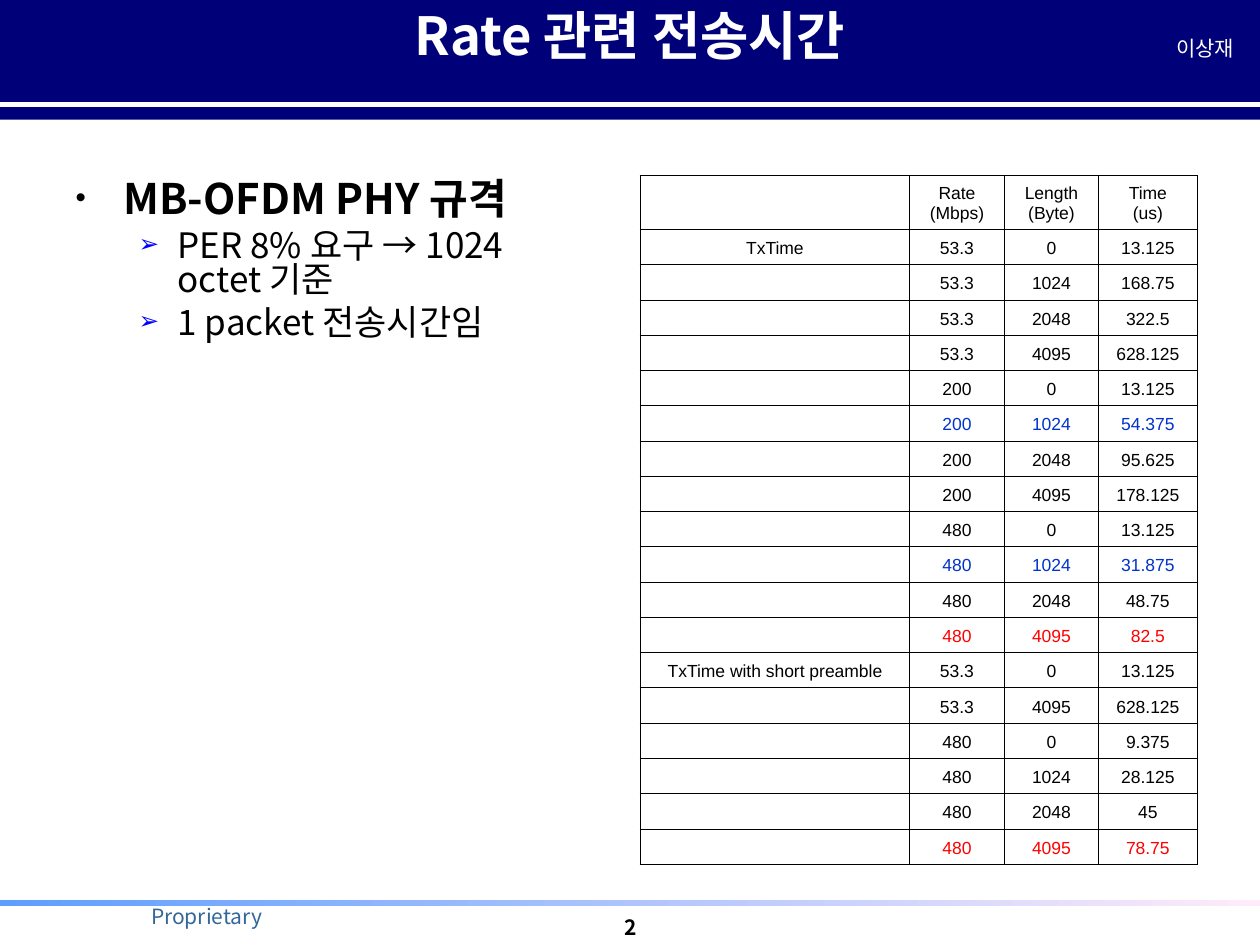
import pptx
import pptx.util
import pptx.dml.color
import pptx.enum.shapes
import pptx.enum.text
import pptx.oxml.ns
from lxml import etree

Inches, Pt = pptx.util.Inches, pptx.util.Pt
RGBColor = pptx.dml.color.RGBColor
PP_ALIGN = pptx.enum.text.PP_ALIGN
MSO_ANCHOR = pptx.enum.text.MSO_ANCHOR
qn = pptx.oxml.ns.qn

NAVY = RGBColor(0x00, 0x00, 0x78)
WHITE = RGBColor(0xFF, 0xFF, 0xFF)
BLACK = RGBColor(0x00, 0x00, 0x00)
SKY = RGBColor(0x5E, 0x9E, 0xFF)
PINK = RGBColor(0xFF, 0xEB, 0xFA)
STEEL = RGBColor(0x33, 0x66, 0x99)
BULLET_BLUE = RGBColor(0x00, 0x00, 0xFF)
BLUE = RGBColor(0x00, 0x33, 0xCC)
RED = RGBColor(0xFF, 0x00, 0x00)
KOREAN_FONT = "Noto Sans CJK KR"
TABLE_FONT = "Arial"
LINE_SPACING = 0.81


def add_xml(parent, tag, **attributes):
    return etree.SubElement(parent, qn(tag), attributes)


def format_runs(paragraph, size, color, bold=False, font=KOREAN_FONT):
    """Format every run, for Latin and East Asian letters alike."""
    for run in paragraph.runs:
        run.font.size = Pt(size)
        run.font.bold = bold
        run.font.color.rgb = color
        run.font.name = font
        add_xml(run.font._element, "a:ea", typeface=font)


prs = pptx.Presentation()
prs.slide_width, prs.slide_height = Inches(10), Inches(7.5)
slide = prs.slides.add_slide(prs.slide_layouts[1])
shapes = slide.shapes

# Header band and footer rule
header = shapes.add_shape(pptx.enum.shapes.MSO_SHAPE.RECTANGLE,
                          0, 0, Inches(10), Inches(0.95))
header.fill.solid()
header.fill.fore_color.rgb = NAVY
footer_rule = shapes.add_shape(pptx.enum.shapes.MSO_SHAPE.RECTANGLE,
                               0, Inches(7.14), Inches(10), Inches(0.05))
footer_rule.fill.gradient()
footer_rule.fill.gradient_angle = 0
for stop, color in zip(footer_rule.fill.gradient_stops, (SKY, PINK)):
    stop.color.rgb = color
for band in (header, footer_rule):
    band.line.fill.background()
    band.shadow.inherit = False

header_line = shapes.add_connector(pptx.enum.shapes.MSO_CONNECTOR.STRAIGHT,
                                   0, Inches(0.83), Inches(10), Inches(0.83))
header_line.line.color.rgb = WHITE
header_line.line.width = Pt(3)
add_xml(header_line.element.spPr, "a:effectLst")

# Page number, footer and author
for text, left, top, width, height, color, bold, wrap, side, anchor in (
    ("2", 4.67, 7.25, 0.67, 0.25, BLACK, True, False, 0.1, MSO_ANCHOR.MIDDLE),
    ("Proprietary", 1.08, 7.16, 1.12, 0.3, STEEL, False, False, 0.1, MSO_ANCHOR.TOP),
    ("이상재", 9.13, 0.27, 0.87, 0.3, WHITE, False, True, 0, MSO_ANCHOR.TOP),
):
    label = shapes.add_textbox(Inches(left), Inches(top), Inches(width), Inches(height))
    frame = label.text_frame
    frame.word_wrap = wrap
    frame.vertical_anchor = anchor
    frame.margin_left = frame.margin_right = Inches(side)
    frame.text = text
    frame.paragraphs[0].alignment = PP_ALIGN.CENTER
    frame.paragraphs[0].line_spacing = LINE_SPACING
    format_runs(frame.paragraphs[0], 12, color, bold)

# Title and list, brought in front of the header band
title, body = shapes.title, slide.placeholders[1]
title.left, title.top, title.width, title.height = 0, Inches(0.07), Inches(10), Inches(0.6)
body.left, body.top, body.width, body.height = (
    Inches(0.5), Inches(1.39), Inches(4.42), Inches(5.31))
for placeholder in (title, body):
    placeholder.element.getparent().append(placeholder.element)
    placeholder.text_frame.auto_size = pptx.enum.text.MSO_AUTO_SIZE.NONE
    placeholder.text_frame.vertical_anchor = MSO_ANCHOR.TOP

title.text_frame.text = "Rate 관련 전송시간"
title_line = title.text_frame.paragraphs[0]
title_line.alignment = PP_ALIGN.CENTER
title_line.line_spacing = LINE_SPACING
format_runs(title_line, 30, WHITE, True)

body.text_frame.margin_right = Inches(0.2)
body.text_frame.text = "\n".join((
    "MB-OFDM PHY 규격",
    "PER 8% 요구 → 1024 octet 기준",
    "1 packet 전송시간임",
))
for index, item in enumerate(body.text_frame.paragraphs):
    heading = index == 0
    item.level = 0 if heading else 1
    item.line_spacing = LINE_SPACING
    item.space_before = Pt(0 if heading else 5)
    properties = item._p.get_or_add_pPr()
    properties.set("marL", str(Inches(0.38 if heading else 0.81)))
    properties.set("indent", str(-Inches(0.38 if heading else 0.31)))
    bullet_color = add_xml(properties, "a:buClr")
    add_xml(bullet_color, "a:srgbClr", val=str(BLACK if heading else BULLET_BLUE))
    add_xml(properties, "a:buSzPct", val="70000")
    add_xml(properties, "a:buChar", char="•" if heading else "➢")
    format_runs(item, 24 if heading else 20, BLACK, heading)

# Transmission times
ROWS = (
    ("", "Rate\n(Mbps)", "Length\n(Byte)", "Time\n(us)"),
    ("TxTime", "53.3", "0", "13.125"),
    ("", "53.3", "1024", "168.75"),
    ("", "53.3", "2048", "322.5"),
    ("", "53.3", "4095", "628.125"),
    ("", "200", "0", "13.125"),
    ("", "200", "1024", "54.375"),
    ("", "200", "2048", "95.625"),
    ("", "200", "4095", "178.125"),
    ("", "480", "0", "13.125"),
    ("", "480", "1024", "31.875"),
    ("", "480", "2048", "48.75"),
    ("", "480", "4095", "82.5"),
    ("TxTime with short preamble", "53.3", "0", "13.125"),
    ("", "53.3", "4095", "628.125"),
    ("", "480", "0", "9.375"),
    ("", "480", "1024", "28.125"),
    ("", "480", "2048", "45"),
    ("", "480", "4095", "78.75"),
)
ROW_COLORS = {6: BLUE, 10: BLUE, 12: RED, 18: RED}

times = shapes.add_table(len(ROWS), 4, Inches(5.08), Inches(1.39),
                         Inches(4.42), Inches(5.47)).table
times.first_row = times.horz_banding = False
for column, width in zip(times.columns, (2.14, 0.75, 0.75, 0.78)):
    column.width = Inches(width)
for row_index, values in enumerate(ROWS):
    times.rows[row_index].height = Inches(0.28 if row_index else 0.43)
    for column_index, value in enumerate(values):
        cell = times.cell(row_index, column_index)
        cell.text = value
        cell.vertical_anchor = MSO_ANCHOR.BOTTOM
        for paragraph in cell.text_frame.paragraphs:
            paragraph.alignment = PP_ALIGN.CENTER
            format_runs(paragraph, 10, ROW_COLORS.get(row_index, BLACK), font=TABLE_FONT)
            add_xml(paragraph._p, "a:endParaRPr", sz="1000")
        cell_properties = cell._tc.get_or_add_tcPr()
        for side in ("a:lnL", "a:lnR", "a:lnT", "a:lnB"):
            border = add_xml(cell_properties, side, w=str(Pt(0.45)))
            add_xml(add_xml(border, "a:solidFill"), "a:srgbClr", val=str(BLACK))
        cell.fill.background()

prs.save("out.pptx")
